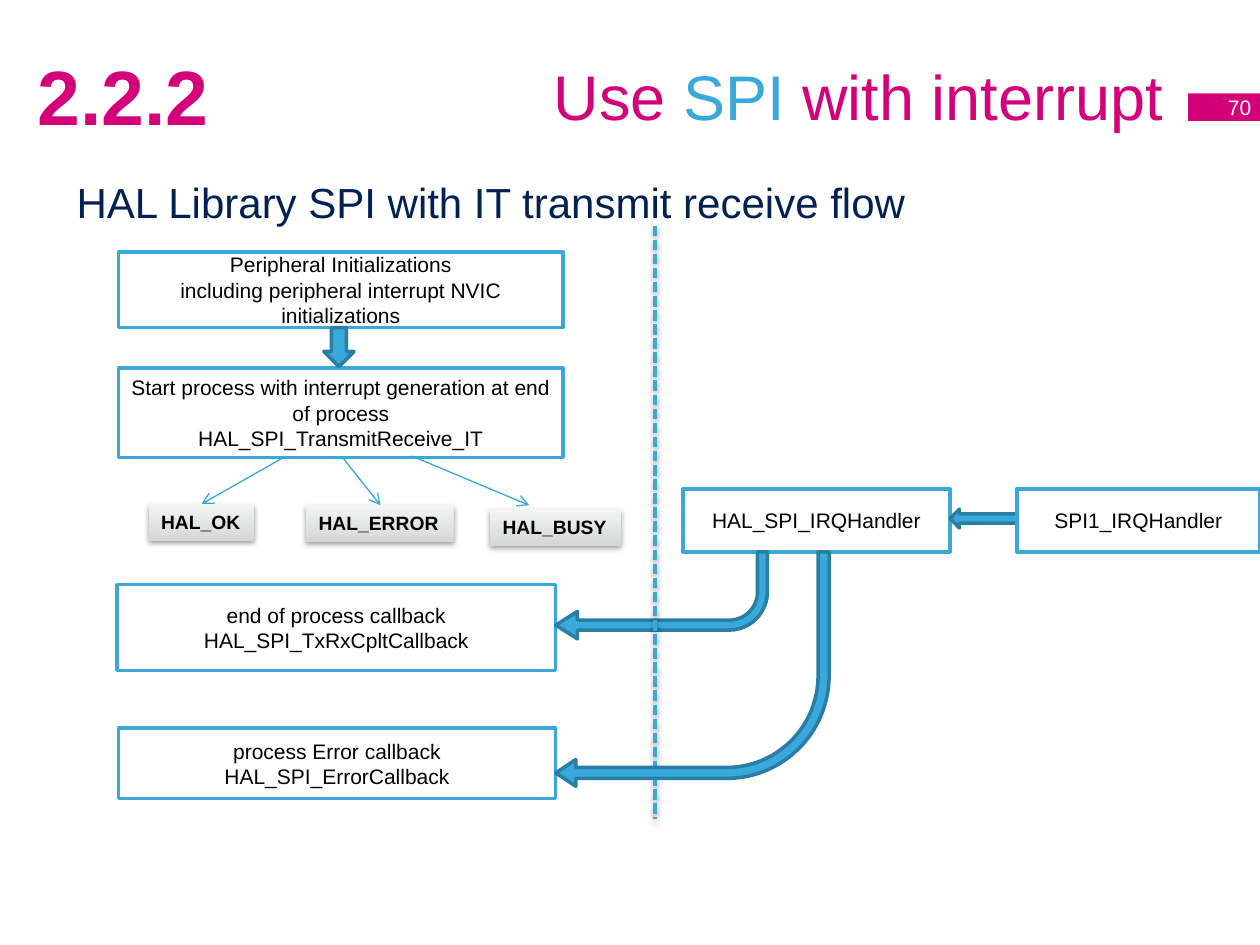
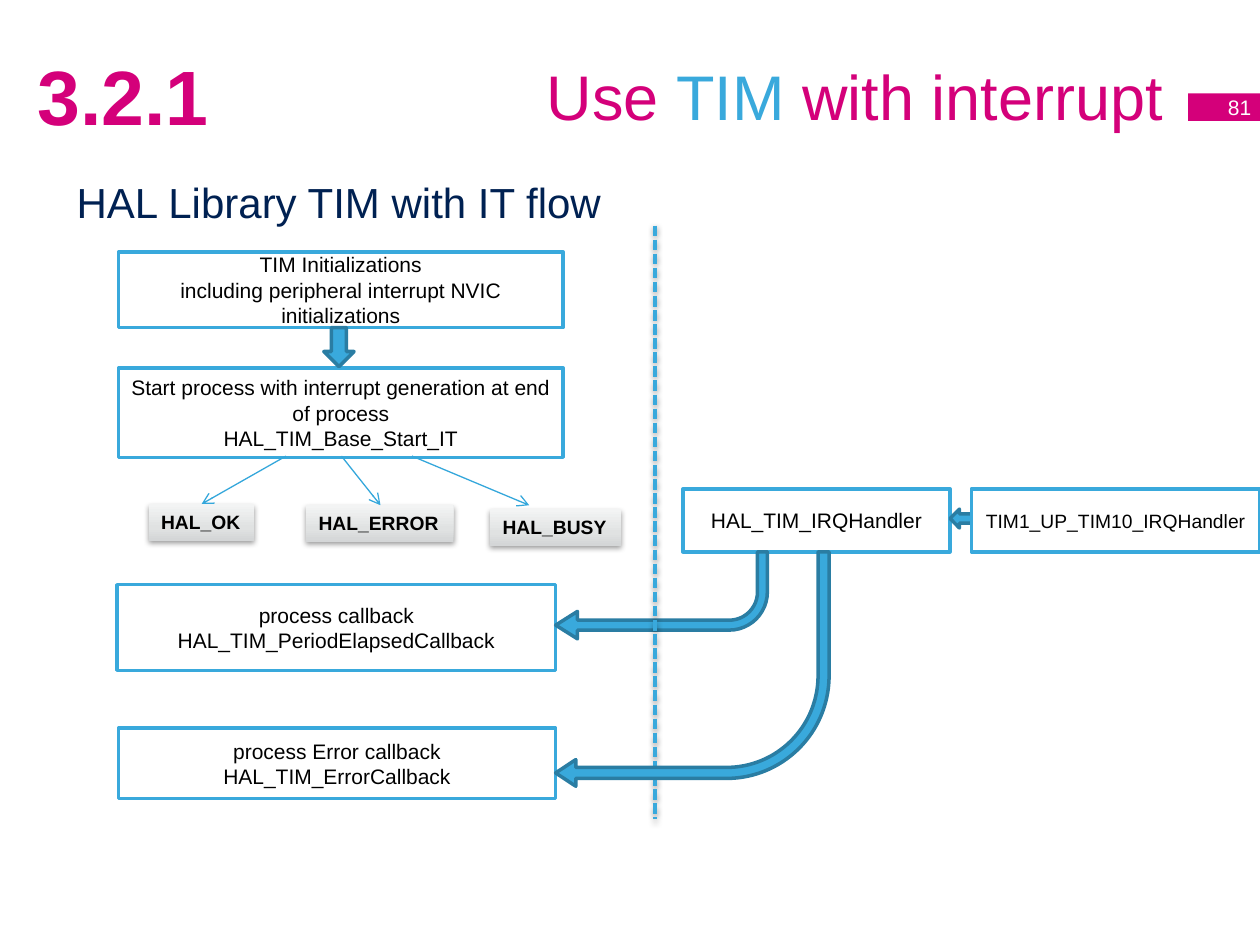
import pptx
import pptx.dml.color
import pptx.enum.dml
import pptx.enum.shapes
import pptx.enum.text
import pptx.oxml
import pptx.oxml.ns
import pptx.util
from lxml import etree

RGBColor = pptx.dml.color.RGBColor
SHAPE = pptx.enum.shapes.MSO_SHAPE
ALIGN = pptx.enum.text.PP_ALIGN
ANCHOR = pptx.enum.text.MSO_ANCHOR
Pt = pptx.util.Pt
qn = pptx.oxml.ns.qn

MAGENTA = RGBColor(0xD4, 0x00, 0x7A)
SKY = RGBColor(0x39, 0xA9, 0xDC)
SKY_THIN = RGBColor(0x34, 0xA7, 0xDB)
SKY_DARK = RGBColor(0x2A, 0x7D, 0xA3)
NAVY = RGBColor(0x00, 0x21, 0x52)
BLACK = RGBColor(0x00, 0x00, 0x00)
WHITE = RGBColor(0xFF, 0xFF, 0xFF)
SILVER = [(0, RGBColor(0xD4, 0xD6, 0xD7)),
          (35, RGBColor(0xE0, 0xE2, 0xE2)),
          (100, RGBColor(0xF3, 0xF4, 0xF4))]

COLUMNS, ROWS = 100, 75
FONT = "Arial"
LINE_WIDTH = 2
RIGHT_EDGE = 100
HANDLER_TOP, HANDLER_BOTTOM = 38.8, 43.8
START_BOTTOM = 36.2
CALLBACK_RIGHT = 44.1

SHORT_BEND = (0.114, 0.158, 0.25, 0.438)
LONG_BEND = (0.047, 0.057, 0.086, 0.438)

STATUSES = [
    ("HAL_OK", (11.8, 40, 8.4, 2.9), (22.7, 16, 40)),
    ("HAL_ERROR", (24.3, 40.1, 11.7, 2.9), (27.1, 30.2, 40.1)),
    ("HAL_BUSY", (38.9, 40.4, 10.4, 2.9), (32.7, 42, 40.1)),
]

FLOWS = [
    dict(section="2.2.2", page="70", peripheral="SPI",
         heading="HAL Library SPI with IT transmit receive flow",
         setup="Peripheral Initializations",
         start="HAL_SPI_TransmitReceive_IT",
         done=["end of process callback", "HAL_SPI_TxRxCpltCallback"],
         vector="SPI1_IRQHandler", vector_left=80.7, vector_size=12),
    dict(section="3.2.1", page="81", peripheral="TIM",
         heading="HAL Library TIM with IT flow",
         setup="TIM Initializations",
         start="HAL_TIM_Base_Start_IT",
         done=["process callback", "HAL_TIM_PeriodElapsedCallback"],
         vector="TIM1_UP_TIM10_IRQHandler", vector_left=77.1, vector_size=11),
]


class FlowDeck:
    def __init__(self):
        self.deck = pptx.Presentation()
        self.deck.slide_width = pptx.util.Inches(10)
        self.deck.slide_height = pptx.util.Inches(7.5)
        self.slide = None

    def x(self, columns):
        return round(self.deck.slide_width * columns / COLUMNS)

    def y(self, rows):
        return round(self.deck.slide_height * rows / ROWS)

    def place(self, area):
        left, top, width, height = area
        return self.x(left), self.y(top), self.x(width), self.y(height)

    def add_slide(self):
        self.slide = self.deck.slides.add_slide(self.deck.slide_layouts[5])

    def set_text(self, frame, lines, size, color, align, anchor=ANCHOR.MIDDLE,
                 bold=False, wrap=True):
        frame.auto_size = pptx.enum.text.MSO_AUTO_SIZE.NONE
        frame.word_wrap = wrap
        frame.vertical_anchor = anchor
        frame.text = "\n".join(lines)
        for paragraph in frame.paragraphs:
            paragraph.alignment = align
            paragraph.font.name = FONT
            paragraph.font.size = Pt(size)
            paragraph.font.bold = bold
            paragraph.font.color.rgb = color

    def title(self, pieces, area):
        title = self.slide.shapes.title
        title.left, title.top, title.width, title.height = self.place(area)
        self.set_text(title.text_frame, [""], 36, MAGENTA, ALIGN.RIGHT)
        for words, color in pieces:
            run = title.text_frame.paragraphs[0].add_run()
            run.text = words
            run.font.color.rgb = color

    def text(self, words, area, size, color, **style):
        box = self.slide.shapes.add_textbox(*self.place(area))
        self.set_text(box.text_frame, [words], size, color, ALIGN.LEFT, **style)

    def shape(self, kind, area, fill, line=None):
        shape = self.slide.shapes.add_shape(kind, *self.place(area))
        shape.fill.solid()
        shape.fill.fore_color.rgb = fill
        if line is None:
            shape.line.fill.background()
        else:
            shape.line.color.rgb = line
            shape.line.width = Pt(LINE_WIDTH)
        shape.shadow.inherit = False
        return shape

    def step(self, lines, area, size=12):
        box = self.shape(SHAPE.RECTANGLE, area, WHITE, SKY)
        self.set_text(box.text_frame, lines, size, BLACK, ALIGN.CENTER)

    def page_number(self, number, area):
        band = self.shape(SHAPE.RECTANGLE, area, MAGENTA)
        self.set_text(band.text_frame, [number], 12, WHITE, ALIGN.RIGHT, wrap=False)

    def status(self, name, area):
        tag = self.shape(SHAPE.RECTANGLE, area, WHITE)
        self.set_text(tag.text_frame, [name], 11, BLACK, ALIGN.LEFT,
                      ANCHOR.TOP, bold=True, wrap=False)
        properties = tag.element.spPr
        solid = properties.find(qn("a:solidFill"))
        gradient = etree.Element(qn("a:gradFill"), rotWithShape="1")
        stops = etree.SubElement(gradient, qn("a:gsLst"))
        for share, color in SILVER:
            stop = etree.SubElement(stops, qn("a:gs"), pos=str(share * 1000))
            etree.SubElement(stop, qn("a:srgbClr"), val=str(color))
        etree.SubElement(gradient, qn("a:lin"), ang="16200000", scaled="0")
        properties.replace(solid, gradient)
        self.cast_shadow(properties.find(qn("a:effectLst")))

    def cast_shadow(self, effects):
        shadow = etree.SubElement(effects, qn("a:outerShdw"), blurRad="40000",
                                  dist="20000", dir="5400000", rotWithShape="0")
        color = etree.SubElement(shadow, qn("a:srgbClr"), val=str(BLACK))
        etree.SubElement(color, qn("a:alpha"), val="38000")

    def block_arrow(self, kind, area, bend=(), rotation=0):
        arrow = self.shape(kind, area, SKY, SKY_DARK)
        arrow.rotation = rotation
        for index, share in enumerate(bend):
            arrow.adjustments[index] = share

    def callback_arrow(self, width, height, bend):
        area = (CALLBACK_RIGHT, HANDLER_BOTTOM, width, height)
        self.block_arrow(SHAPE.BENT_ARROW, area, bend, 180)

    def line(self, start, end, color, width):
        line = self.slide.shapes.add_connector(
            pptx.enum.shapes.MSO_CONNECTOR.STRAIGHT,
            self.x(start[0]), self.y(start[1]), self.x(end[0]), self.y(end[1]))
        line.line.color.rgb = color
        line.line.width = Pt(width)
        effects = etree.SubElement(line.element.spPr, qn("a:effectLst"))
        return line, effects

    def divider(self, column, top, bottom):
        line, effects = self.line((column, top), (column, bottom), SKY, LINE_WIDTH)
        line.line.dash_style = pptx.enum.dml.MSO_LINE.SQUARE_DOT
        self.cast_shadow(effects)

    def thin_arrow(self, start, end):
        line, effects = self.line(start, end, SKY_THIN, 0.75)
        outline = line.element.spPr.find(qn("a:ln"))
        etree.SubElement(outline, qn("a:tailEnd"), type="arrow")

    def flow(self, section, page, peripheral, heading, setup, start, done,
             vector, vector_left, vector_size):
        self.add_slide()
        self.title([("Use ", MAGENTA), (peripheral, SKY),
                    (" with interrupt", MAGENTA)], (5, 1.3, 88.3, 12.5))
        self.text(section, (2, 1.3, 18.9, 12.5), 44, MAGENTA, bold=True)
        self.text(heading, (5.1, 13.5, 90, 5), 24, NAVY, anchor=ANCHOR.TOP)
        self.page_number(page, (94.3, 7.4, 6, 2.2))

        self.step(["Start process with interrupt generation at end of process",
                   start], (9.4, 29.2, 35.3, 7.1))
        self.step([setup, "including peripheral interrupt NVIC initializations"],
                  (9.4, 20, 35.3, 6))
        handler_height = HANDLER_BOTTOM - HANDLER_TOP
        self.step([f"HAL_{peripheral}_IRQHandler"],
                  (54.2, HANDLER_TOP, 21.2, handler_height))
        self.step(done, (9.3, 46.4, 34.8, 6.8))
        self.step(["process Error callback", f"HAL_{peripheral}_ErrorCallback"],
                  (9.4, 57.8, 34.7, 5.6))

        self.block_arrow(SHAPE.DOWN_ARROW, (25.7, 26, 2.4, 3.1))
        self.callback_arrow(16.8, 6.9, SHORT_BEND)
        self.divider(52, 17.9, 65)
        self.block_arrow(SHAPE.LEFT_ARROW, (75.4, 40.4, 7.3, 1.5))
        self.callback_arrow(21.7, 18.6, LONG_BEND)

        for name, area, (from_column, to_column, to_row) in STATUSES:
            self.status(name, area)
            self.thin_arrow((from_column, START_BOTTOM), (to_column, to_row))
        self.step([vector], (vector_left, HANDLER_TOP,
                             RIGHT_EDGE - vector_left, handler_height), vector_size)


def main():
    slides = FlowDeck()
    for flow in FLOWS:
        slides.flow(**flow)
    slides.deck.save("out.pptx")


if __name__ == "__main__":
    main()
